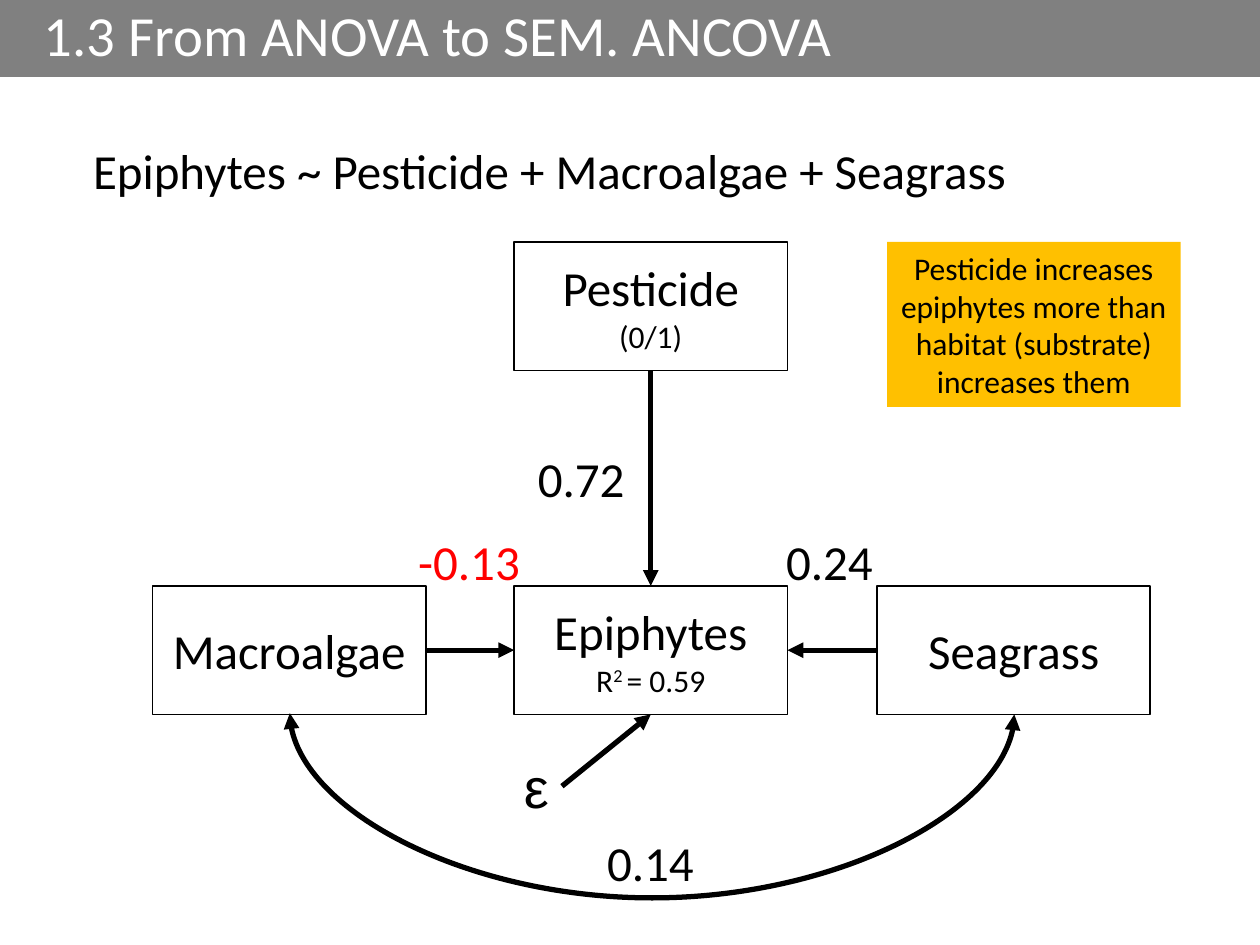
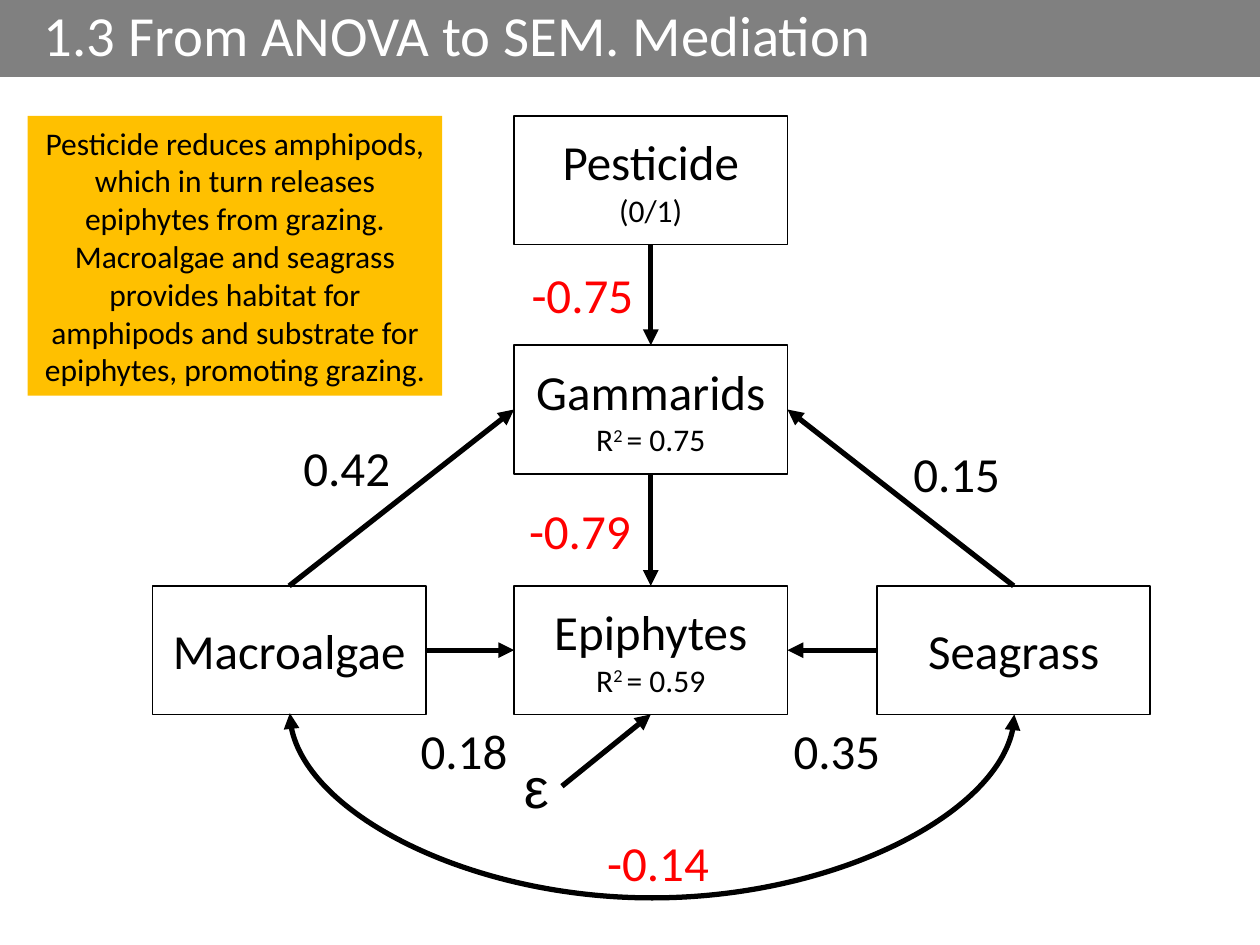
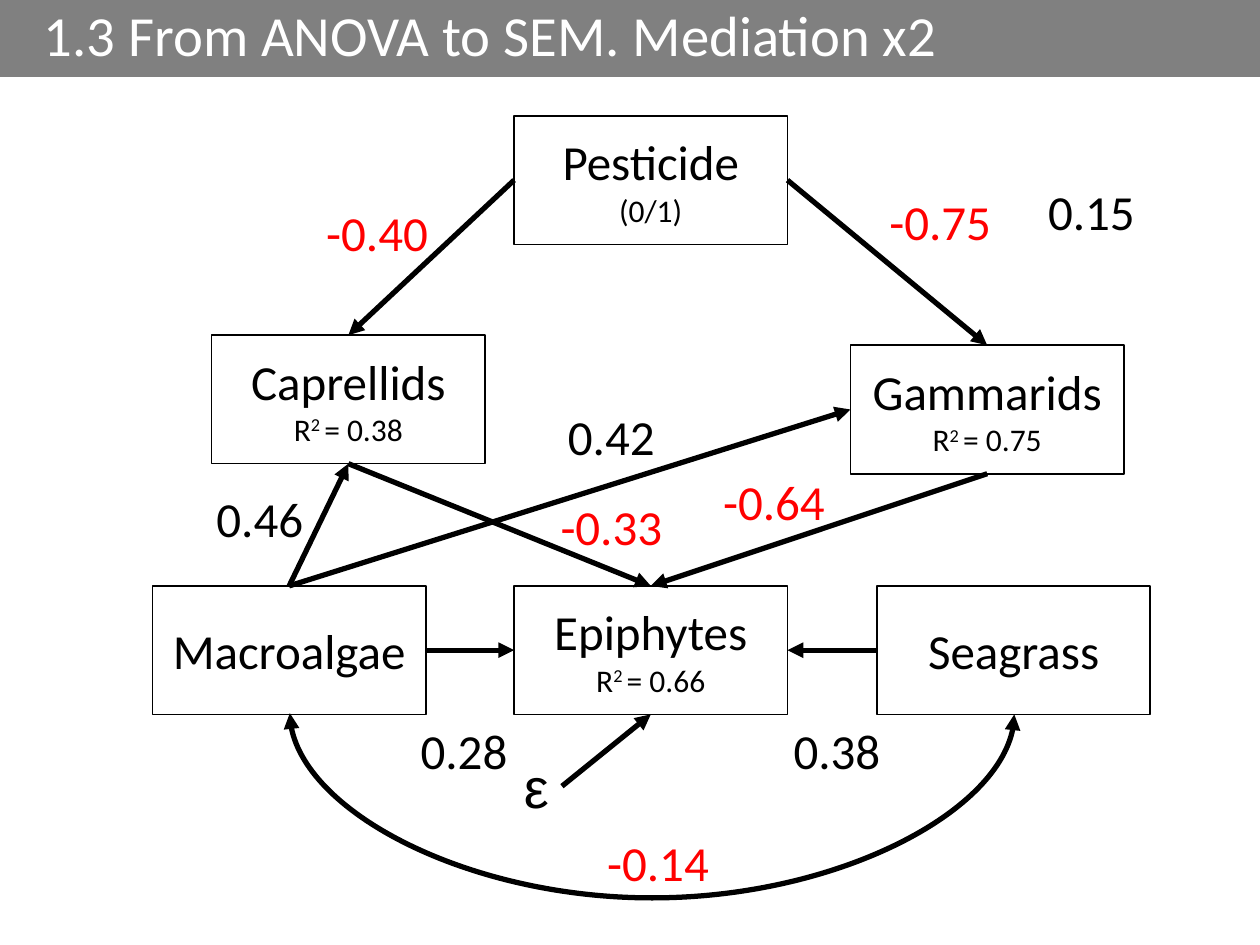
from lxml.etree import SubElement
from pptx import Presentation
from pptx.dml.color import RGBColor
from pptx.enum.shapes import MSO_CONNECTOR, MSO_SHAPE
from pptx.enum.text import MSO_ANCHOR, MSO_AUTO_SIZE, PP_ALIGN
from pptx.oxml.ns import qn
from pptx.util import Inches, Pt

BLACK, WHITE, RED = "000000", "FFFFFF", "FF0000"
GREY, AMBER = "808080", "FFC000"
BOX_W, BOX_H = 2.17, 1.02
LEFT_X, CENTRE_X, RIGHT_X, BASE_Y = 1.21, 4.08, 6.96, 4.65
TOP, LEFT, BOTTOM, RIGHT = range(4)


def style(font, size, color=BLACK, name="Calibri"):
    font.size, font.name = Pt(size), name
    font.color.rgb = RGBColor.from_string(color)


def style_arrow(arrow, *ends):
    arrow.line.color.rgb = RGBColor.from_string(BLACK)
    arrow.line.width = Pt(3)
    line = arrow.line._get_or_add_ln()
    for end in ends:
        SubElement(line, qn(f"a:{end}"), type="triangle")
    SubElement(arrow._element.spPr, qn("a:effectLst"))


# Parts of the path diagram found on every slide
shared_arrows = [
    ("ε", RIGHT, "Epiphytes", BOTTOM),
    ("Macroalgae", RIGHT, "Epiphytes", LEFT),
    ("Seagrass", LEFT, "Epiphytes", RIGHT),
]

# variables: name, left, top, second line (its middle part is raised)
# coefficients: value, left, top
models = [
    {
        "title": "ANCOVA",
        "variables": [("Pesticide", CENTRE_X, 1.92, "(0/1)"),
                      ("Epiphytes", CENTRE_X, BASE_Y, "R|2 |= 0.59")],
        "arrows": [("Pesticide", BOTTOM, "Epiphytes", TOP)],
        "coefficients": [("0.72", 4.17, 3.51), ("-0.13", 3.22, 4.17),
                         ("0.24", 6.14, 4.17), ("0.14", 4.72, 6.56)],
        "formula": "Epiphytes ~ Pesticide + Macroalgae + Seagrass",
        "finding": ("Pesticide increases epiphytes more than habitat (substrate) "
                    "increases them", 7.04, 1.92, 2.33, 1.31),
    },
    {
        "title": "Mediation",
        "variables": [("Pesticide", CENTRE_X, 0.92, "(0/1)"),
                      ("Epiphytes", CENTRE_X, BASE_Y, "R|2 |= 0.59"),
                      ("Gammarids", CENTRE_X, 2.74, "R|2 |= 0.75")],
        "arrows": [("Pesticide", BOTTOM, "Gammarids", TOP),
                   ("Gammarids", BOTTOM, "Epiphytes", TOP),
                   ("Macroalgae", TOP, "Gammarids", LEFT),
                   ("Seagrass", TOP, "Gammarids", RIGHT)],
        "coefficients": [("-0.79", 4.1, 3.92), ("0.18", 3.24, 5.67),
                         ("0.35", 6.2, 5.67), ("-0.14", 4.72, 6.56),
                         ("-0.75", 4.12, 2.05), ("0.15", 7.15, 3.47),
                         ("0.42", 2.31, 3.42)],
        "finding": ("Pesticide reduces amphipods, which in turn releases epiphytes "
                    "from grazing. Macroalgae and seagrass provides habitat for "
                    "amphipods and substrate for epiphytes, promoting grazing.",
                    0.22, 0.92, 3.29, 2.22),
    },
    {
        "title": "Mediation x2",
        "variables": [("Pesticide", CENTRE_X, 0.92, "(0/1)"),
                      ("Epiphytes", CENTRE_X, BASE_Y, "R|2 |= 0.66"),
                      ("Caprellids", 1.68, 2.66, "R|2 |= 0.38"),
                      ("Gammarids", 6.75, 2.74, "R|2 |= 0.75")],
        "arrows": [("Pesticide", LEFT, "Caprellids", TOP),
                   ("Pesticide", RIGHT, "Gammarids", TOP),
                   ("Caprellids", BOTTOM, "Epiphytes", TOP),
                   ("Gammarids", BOTTOM, "Epiphytes", TOP),
                   ("Macroalgae", TOP, "Caprellids", BOTTOM),
                   ("Macroalgae", TOP, "Gammarids", LEFT)],
        "coefficients": [("-0.64", 5.64, 3.69), ("0.28", 3.24, 5.67),
                         ("0.38", 6.2, 5.67), ("-0.14", 4.72, 6.56),
                         ("-0.40", 2.49, 1.56), ("0.15", 8.22, 1.39),
                         ("0.46", 1.62, 3.83), ("-0.75", 6.96, 1.47),
                         ("-0.33", 4.35, 3.89), ("0.42", 4.41, 3.18)],
    },
]

prs = Presentation()
prs.slide_width, prs.slide_height = Inches(10), Inches(7.5)

for model in models:
    shapes = prs.slides.add_slide(prs.slide_layouts[6]).shapes

    # Filled boxes: title band, variables, finding
    variables = model["variables"] + [("Macroalgae", LEFT_X, BASE_Y, ""),
                                      ("Seagrass", RIGHT_X, BASE_Y, "")]
    boxes = [("1.3 From ANOVA to SEM. " + model["title"], 0, 0, 10, 0.61, GREY, 32.4, WHITE)]
    boxes += [(name, x, y, BOX_W, BOX_H, WHITE, 28, BLACK) for name, x, y, _ in variables]
    if "finding" in model:
        boxes.append((*model["finding"], AMBER, 18, BLACK))
    second_lines = {name: second for name, _, _, second in variables}
    nodes = {}
    for text, x, y, w, h, fill, size, color in boxes:
        box = shapes.add_shape(MSO_SHAPE.RECTANGLE, Inches(x), Inches(y), Inches(w), Inches(h))
        box.shadow.inherit = False
        box.fill.solid()
        box.fill.fore_color.rgb = RGBColor.from_string(fill)
        frame = box.text_frame
        frame.word_wrap = True
        frame.vertical_anchor = MSO_ANCHOR.MIDDLE
        frame.text = text
        first = frame.paragraphs[0]
        first.alignment = PP_ALIGN.CENTER
        style(first.runs[0].font, size, color)
        if fill == GREY:
            first.alignment = PP_ALIGN.LEFT
            first.line_spacing = 0.9
            first._p.get_or_add_pPr().set("marL", str(Inches(0.25)))
        if fill != WHITE:
            box.line.fill.background()
            continue
        box.line.color.rgb = RGBColor.from_string(BLACK)
        box.line.width = Pt(1)
        nodes[text] = box
        if second_lines[text]:
            second = frame.add_paragraph()
            second.alignment = PP_ALIGN.CENTER
            for place, part in enumerate(second_lines[text].split("|")):
                run = second.add_run()
                run.text = part
                style(run.font, 18)
                if place == 1:
                    run.font._element.set("baseline", "30000")

    # Unfilled text: error term, path coefficients, model formula
    labels = [("ε", 4.06, 5.92, 0.4, 0.64, 32, "Arial", BLACK)]
    for value, x, y in model["coefficients"]:
        negative = value.startswith("-")
        labels.append((value, x, y, 1.02 if negative else 0.9, 0.57, 28, "Calibri",
                       RED if negative else BLACK))
    if "formula" in model:
        labels.append((model["formula"], 0.64, 1.07, 7.53, 0.57, 28, "Calibri", BLACK))
    for text, x, y, w, h, size, font_name, color in labels:
        label = shapes.add_textbox(Inches(x), Inches(y), Inches(w), Inches(h))
        label.text_frame.word_wrap = False
        label.text_frame.auto_size = MSO_AUTO_SIZE.SHAPE_TO_FIT_TEXT
        label.text_frame.text = text
        style(label.text_frame.paragraphs[0].runs[0].font, size, color, font_name)
        nodes[text] = label

    # Straight paths between variables
    for cause, cause_side, effect, effect_side in shared_arrows + model["arrows"]:
        path_arrow = shapes.add_connector(MSO_CONNECTOR.STRAIGHT, 0, 0, 0, 0)
        path_arrow.begin_connect(nodes[cause], cause_side)
        path_arrow.end_connect(nodes[effect], effect_side)
        style_arrow(path_arrow, "tailEnd")

    # Curved covariance between Macroalgae and Seagrass, turned a quarter to hang below
    covariance = shapes.add_connector(MSO_CONNECTOR.CURVE, Inches(5.18), Inches(2.79),
                                      Inches(5.17), Inches(8.54))
    geometry = covariance._element.spPr
    geometry.find(qn("a:xfrm")).set("rot", str(270 * 60000))
    adjustments = geometry.find(qn("a:prstGeom")).find(qn("a:avLst"))
    SubElement(adjustments, qn("a:gd"), name="adj1", fmla="val 14900000")
    style_arrow(covariance, "headEnd", "tailEnd")

prs.save("out.pptx")
